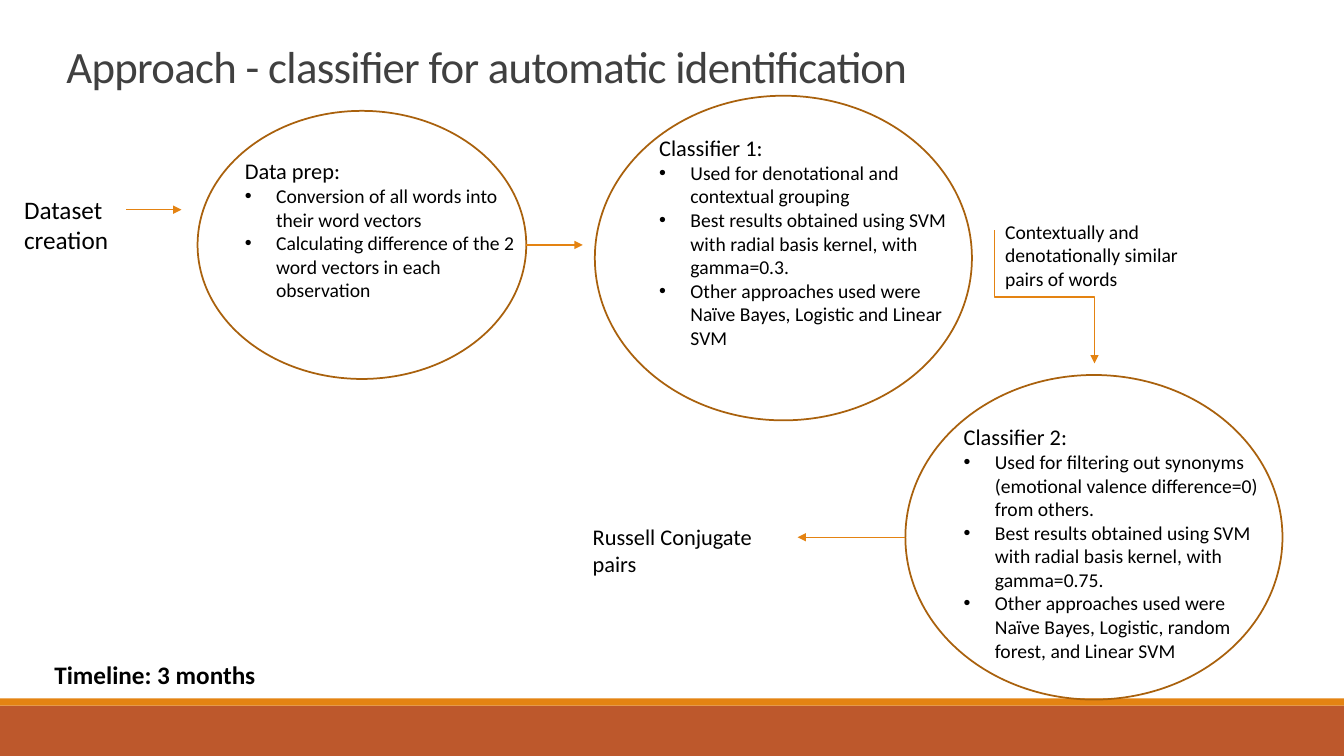
from dataclasses import dataclass

import lxml.etree
import pptx
import pptx.dml.color
import pptx.enum.shapes
import pptx.enum.text
import pptx.oxml.ns
import pptx.util

Inches = pptx.util.Inches
Pt = pptx.util.Pt
RGBColor = pptx.dml.color.RGBColor
Kind = pptx.enum.shapes.MSO_SHAPE
Link = pptx.enum.shapes.MSO_CONNECTOR
Anchor = pptx.enum.text.MSO_ANCHOR
qn = pptx.oxml.ns.qn

BLACK = RGBColor(0x00, 0x00, 0x00)
GREY = RGBColor(0x40, 0x40, 0x40)
ORANGE = RGBColor(0xE4, 0x83, 0x12)
BROWN = RGBColor(0xA9, 0x61, 0x0D)
RUST = RGBColor(0xBD, 0x58, 0x2C)
FONT = "Calibri"
INDENT = Inches(0.31)

Box = tuple[float, float, float, float]


@dataclass
class Stage:
    """An ellipse with a heading and bullets."""
    oval: Box
    area: Box
    head: str
    points: list[str]


@dataclass
class Label:
    area: Box
    text: str
    size: int
    bold: bool = False


@dataclass
class Arrow:
    start: tuple[float, float]
    end: tuple[float, float]
    kind: int = Link.STRAIGHT
    turn: int = 0


STAGES = [
    Stage((5.9, 0.95, 3.74, 3.22), (6.44, 1.28, 3.26, 2.56), "Classifier 1:", [
        "Used for denotational and contextual grouping",
        "Best results obtained using SVM with radial basis kernel, with gamma=0.3.",
        "Other approaches used were Naïve Bayes, Logistic and Linear SVM",
    ]),
    Stage((1.96, 1.1, 3.26, 2.66), (2.33, 1.51, 2.94, 1.55), "Data prep:", [
        "Conversion of all words into their word vectors",
        "Calculating difference of the 2 word vectors in each observation",
    ]),
    Stage((8.98, 3.72, 3.74, 3.22), (9.46, 4.15, 3.26, 2.79), "Classifier 2:", [
        "Used for filtering out synonyms (emotional valence difference=0) from others.",
        "Best results obtained using SVM with radial basis kernel, with gamma=0.75.",
        "Other approaches used were Naïve Bayes, Logistic, random forest, and Linear SVM",
    ]),
]
LABELS = [
    Label((0.14, 1.88, 1.42, 0.71), "Dataset creation", 18),
    Label((9.87, 2.13, 1.97, 0.81),
          "Contextually and denotationally similar pairs of words", 14),
    Label((5.78, 5.14, 1.78, 0.64), "Russell Conjugate pairs", 16),
    Label((0.44, 6.49, 3.48, 0.4), "Timeline: 3 months", 18, bold=True),
]
ARROWS = [
    Arrow((1.25, 2.08), (1.8, 2.08)),
    Arrow((5.22, 2.43), (5.78, 2.43)),
    # The elbow is laid out flat, then turned upright about its centre.
    Arrow((11.02, 2.45), (9.7, 3.44), Link.ELBOW, turn=270),
    Arrow((8.98, 5.33), (7.91, 5.33)),
]


def add_text(frame, text: str, *, size: int, color: RGBColor = BLACK,
             bold: bool = False, bullet: bool = False, gap: float = 0,
             lead: float = 1.0) -> None:
    """Fill the empty first paragraph, or append a new one."""
    para = frame.paragraphs[0]
    if para.runs:
        para = frame.add_paragraph()
    para.line_spacing = lead
    run = para.add_run()
    run.text = text
    run.font.name = FONT
    run.font.size = Pt(size)
    run.font.bold = bold
    run.font.color.rgb = color
    if gap:
        run._r.get_or_add_rPr().set("spc", str(round(gap * 100)))
    if bullet:
        props = para._p.get_or_add_pPr()
        props.set("marL", str(INDENT))
        props.set("indent", str(-INDENT))
        lxml.etree.SubElement(props, qn("a:buFont")).set("typeface", "Arial")
        lxml.etree.SubElement(props, qn("a:buChar")).set("char", "•")


def add_frame(slide, area: Box, anchor: int = Anchor.TOP):
    frame = slide.shapes.add_textbox(*map(Inches, area)).text_frame
    frame.word_wrap = True
    frame.vertical_anchor = anchor
    return frame


def add_shape(slide, kind: int, area: Box, *, fill: RGBColor | None = None,
              line: RGBColor | None = None) -> None:
    shape = slide.shapes.add_shape(kind, *map(Inches, area))
    shape.shadow.inherit = False
    if fill is None:
        shape.fill.background()
    else:
        shape.fill.solid()
        shape.fill.fore_color.rgb = fill
    if line is None:
        shape.line.fill.background()
    else:
        shape.line.color.rgb = line
        shape.line.width = Pt(1.25)


def add_arrow(slide, arrow: Arrow) -> None:
    ends = map(Inches, arrow.start + arrow.end)
    link = slide.shapes.add_connector(arrow.kind, *ends)
    link.line.color.rgb = ORANGE
    link.line.width = Pt(1)
    props = link._element.spPr
    if arrow.turn:
        props.find(qn("a:xfrm")).set("rot", str(arrow.turn * 60000))
    tip = lxml.etree.SubElement(props.find(qn("a:ln")), qn("a:tailEnd"))
    tip.set("type", "triangle")
    lxml.etree.SubElement(props, qn("a:effectLst"))


def main() -> None:
    deck = pptx.Presentation()
    deck.slide_width = Inches(13.33)
    deck.slide_height = Inches(7.5)
    slide = deck.slides.add_slide(deck.slide_layouts[6])

    add_shape(slide, Kind.RECTANGLE, (0, 7, 13.33, 0.5), fill=RUST)
    add_shape(slide, Kind.RECTANGLE, (0, 6.93, 13.33, 0.07), fill=ORANGE)
    title = add_frame(slide, (0.56, 0.35, 11, 0.62), Anchor.BOTTOM)
    add_text(title, "Approach - classifier for automatic identification",
             size=32, color=GREY, gap=-0.5, lead=0.85)

    for stage in STAGES:
        frame = add_frame(slide, stage.area)
        add_text(frame, stage.head, size=16)
        for point in stage.points:
            add_text(frame, point, size=14, bullet=True)
        add_shape(slide, Kind.OVAL, stage.oval, line=BROWN)
    for arrow in ARROWS:
        add_arrow(slide, arrow)
    for label in LABELS:
        add_text(add_frame(slide, label.area), label.text,
                 size=label.size, bold=label.bold)
    deck.save("out.pptx")


if __name__ == "__main__":
    main()
